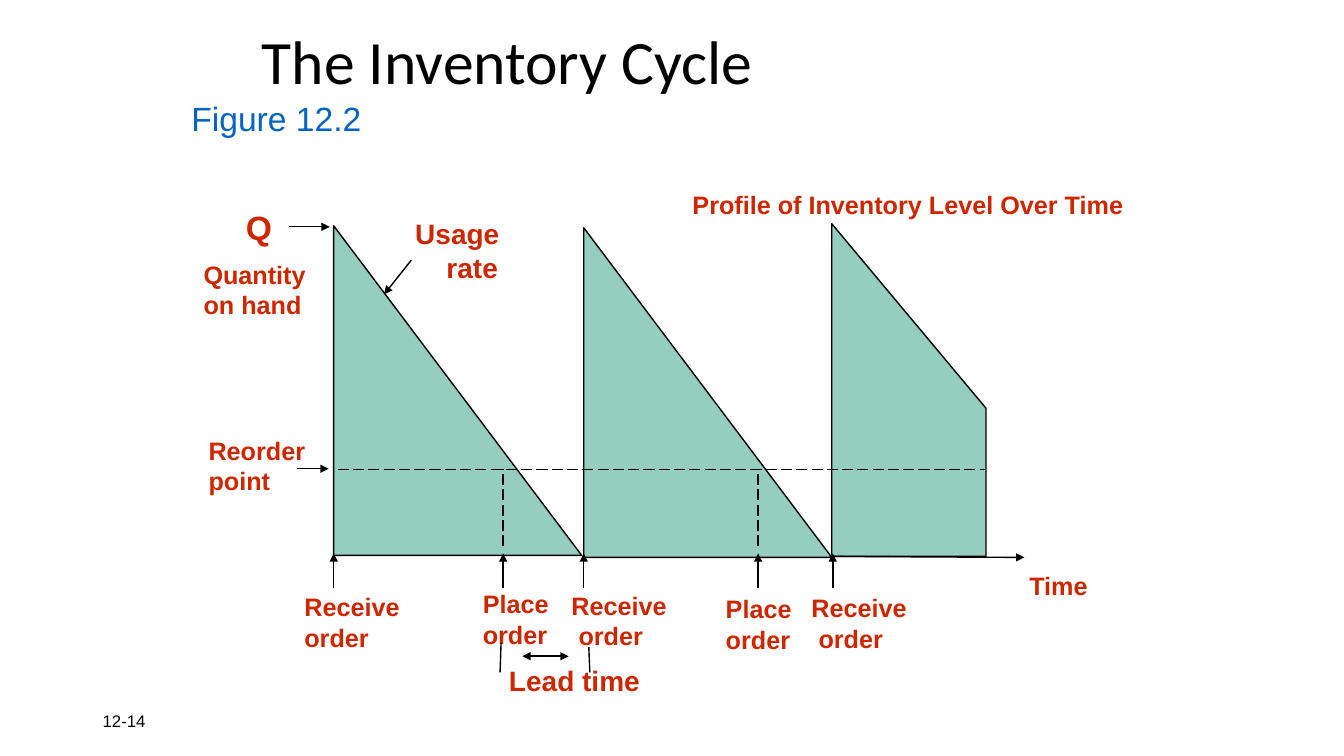
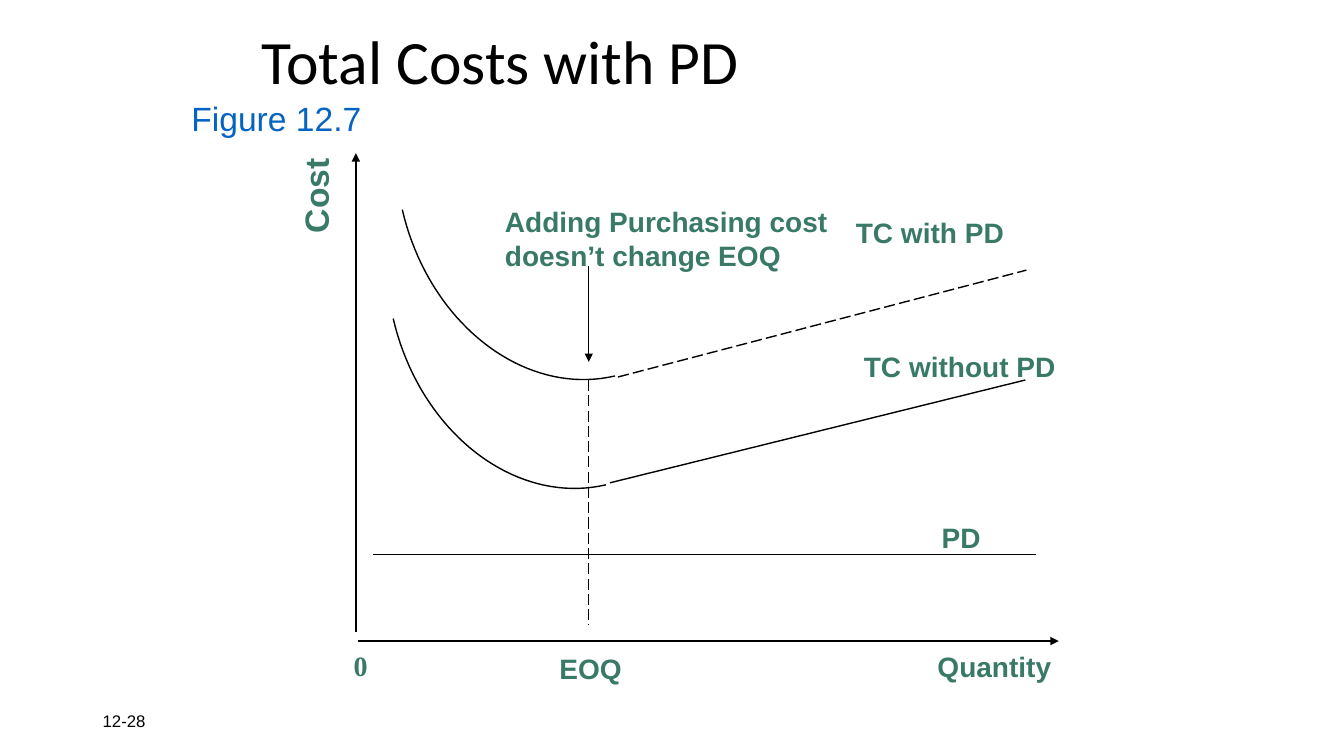
from lxml import etree
from pptx import Presentation
from pptx.dml.color import RGBColor
from pptx.enum.dml import MSO_LINE
from pptx.enum.shapes import MSO_CONNECTOR, MSO_SHAPE
from pptx.enum.text import MSO_ANCHOR
from pptx.oxml.ns import qn
from pptx.util import Inches, Pt

BLACK = RGBColor(0x00, 0x00, 0x00)
BLUE = RGBColor(0x05, 0x63, 0xC1)
RED = RGBColor(0xCE, 0x27, 0x00)
GREEN = RGBColor(0x39, 0x79, 0x68)
MINT = RGBColor(0x95, 0xCD, 0xBE)

STRAIGHT = MSO_CONNECTOR.STRAIGHT
LONG_DASH = MSO_LINE.LONG_DASH
RIGHT_TRIANGLE = MSO_SHAPE.RIGHT_TRIANGLE
MIDDLE, BOTTOM = MSO_ANCHOR.MIDDLE, MSO_ANCHOR.BOTTOM


def add_text(slide, text, left, top, width, height, size, color,
             bold=True, font="Arial", indent=0):
    """Add a text box; indent, in inches, moves the last line to the right."""
    box = slide.shapes.add_textbox(
        Inches(left), Inches(top), Inches(width), Inches(height))
    frame = box.text_frame
    frame.word_wrap = True
    frame.text = text
    if indent:
        last_line = frame.paragraphs[-1]._p.get_or_add_pPr()
        last_line.set("marL", str(Inches(indent)))
    for paragraph in frame.paragraphs:
        paragraph.font.size = Pt(size)
        paragraph.font.name = font
        paragraph.font.bold = bold
        paragraph.font.color.rgb = color
    return box


def add_line(slide, x1, y1, x2, y2, dash=None, arrows=()):
    """Add a thin black line; arrows holds "headEnd" (start), "tailEnd" (end)."""
    connector = slide.shapes.add_connector(
        STRAIGHT, Inches(x1), Inches(y1), Inches(x2), Inches(y2))
    connector.line.color.rgb = BLACK
    connector.line.width = Pt(1)
    if dash:
        connector.line.dash_style = dash
    properties = connector._element.spPr
    outline = properties.find(qn("a:ln"))
    for end in arrows:
        etree.SubElement(outline, qn(f"a:{end}"), type="triangle")
    etree.SubElement(properties, qn("a:effectLst"))


prs = Presentation()
prs.slide_width, prs.slide_height = Inches(13.33), Inches(7.5)

# Title, figure number and page number shared by the slides
slides = []
for title, figure, page in (
    ("The Inventory Cycle", "Figure 12.2", "12-14"),
    ("Total Costs with PD", "Figure 12.7", "12-28"),
):
    slide = prs.slides.add_slide(prs.slide_layouts[6])
    heading = add_text(slide, title, 2.5, 0.15, 8.5, 0.87, 44, BLACK, False, "Calibri")
    heading.text_frame.vertical_anchor = BOTTOM
    heading.text_frame.paragraphs[0].line_spacing = 0.9
    add_text(slide, figure, 1.8, 0.92, 2.17, 0.5, 24, BLUE, False)
    number = add_text(slide, page, 0.92, 6.95, 3, 0.4, 12, BLACK, False)
    number.text_frame.vertical_anchor = MIDDLE
    slides.append(slide)
cycle, costs = slides

# Inventory cycle: two full cycles and the start of a third
stock_levels = [
    cycle.shapes.add_shape(
        RIGHT_TRIANGLE, Inches(left), Inches(top), Inches(2.46), Inches(3.27))
    for left, top in ((3.31, 2.24), (5.79, 2.26))
]
third_cycle = cycle.shapes.build_freeform(Inches(8.25), Inches(2.22), scale=1.0)
third_cycle.add_line_segments(
    [(Inches(x), Inches(y)) for x, y in ((9.78, 4.05), (9.78, 5.52), (8.25, 5.52))])
stock_levels.append(third_cycle.convert_to_shape())
for stock in stock_levels:
    stock.shadow.inherit = False
    stock.fill.solid()
    stock.fill.fore_color.rgb = MINT
    stock.line.color.rgb = BLACK
    stock.line.width = Pt(1)

for text, left, top, width, height, size, indent in (
    ("Profile of Inventory Level Over Time", 6.77, 1.83, 4.6, 0.4, 18, 0),
    ("Q", 2.34, 2, 0.5, 0.5, 24, 0),
    ("Quantity\non hand", 1.92, 2.52, 1.32, 0.7, 18, 0),
    ("Usage\nrate", 4.02, 2.1, 1.36, 0.76, 20, 0.31),
    ("Reorder\npoint", 1.97, 4.27, 1.38, 0.7, 18, 0),
    ("Receive\norder", 2.92, 5.82, 1.22, 0.7, 18, 0),
    ("Place\norder", 4.69, 5.79, 0.9, 0.7, 18, 0),
    ("Receive\norder", 5.57, 5.81, 1.2, 0.7, 18, 0.07),
    ("Place\norder", 7.1, 5.84, 0.9, 0.7, 18, 0),
    ("Receive\norder", 7.95, 5.83, 1.2, 0.7, 18, 0.07),
    ("Lead time", 4.95, 6.53, 1.6, 0.43, 20, 0),
    ("Time", 10.11, 5.61, 0.85, 0.4, 18, 0),
):
    add_text(cycle, text, left, top, width, height, size, RED, indent=indent)

for order_x in (3.31, 4.99, 5.79, 7.52, 8.26):
    add_line(cycle, order_x, 5.83, order_x, 5.49, arrows=["tailEnd"])
for pointer in (
    (2.87, 2.25, 3.27, 2.25),
    (4.08, 2.58, 3.81, 2.92),
    (2.95, 4.65, 3.26, 4.65),
    (8.26, 5.52, 10.16, 5.53),
):
    add_line(cycle, *pointer, arrows=["tailEnd"])

add_line(cycle, 3.35, 4.66, 9.77, 4.66, LONG_DASH)
for place_x in (4.99, 7.52):
    add_line(cycle, place_x, 5.42, place_x, 4.65, LONG_DASH)
add_line(cycle, 4.97, 6.38, 4.96, 6.67)
add_line(cycle, 5.84, 6.42, 5.85, 6.67)
add_line(cycle, 5.18, 6.51, 5.64, 6.51, arrows=["headEnd", "tailEnd"])

# Total costs: both curves have the same Bezier shape
CURVE = ((0, 0), (0.26, 1.12), (1.2, 1.86), (2.11, 1.65))
STEPS = 40
bezier = []
for step in range(STEPS + 1):
    t = step / STEPS
    weights = ((1 - t) ** 3, 3 * t * (1 - t) ** 2, 3 * t * t * (1 - t), t ** 3)
    bezier.append([sum(w * point[axis] for w, point in zip(weights, CURVE))
                   for axis in (0, 1)])
for left, top in ((3.99, 2.08), (3.9, 3.16)):
    points = [(Inches(left + x), Inches(top + y)) for x, y in bezier]
    outline = costs.shapes.build_freeform(*points[0], scale=1.0)
    outline.add_line_segments(points[1:], close=False)
    cost_curve = outline.convert_to_shape()
    cost_curve.shadow.inherit = False
    cost_curve.fill.background()
    cost_curve.line.color.rgb = BLACK
    cost_curve.line.width = Pt(1)

EOQ_X = 5.84
add_line(costs, 6.13, 3.74, 10.18, 2.68, LONG_DASH)
add_line(costs, 6.05, 4.79, 10.17, 3.77)
add_line(costs, 3.7, 5.5, 10.28, 5.5)
add_line(costs, EOQ_X, 3.77, EOQ_X, 6.2, LONG_DASH)
add_line(costs, EOQ_X, 2.64, EOQ_X, 3.59, arrows=["tailEnd"])
add_line(costs, 3.53, 6.27, 3.53, 1.52, arrows=["tailEnd"])
add_line(costs, 3.55, 6.36, 10.5, 6.36, arrows=["tailEnd"])

cost_axis = add_text(costs, "Cost", 2.55, 1.58, 1.16, 0.5, 24, GREEN)
cost_axis.rotation = 270
add_text(costs, "0", 3.41, 6.38, 0.48, 0.43, 20, GREEN, font="Times New Roman")
for text, left, top, width, height in (
    ("Adding Purchasing cost\vdoesn’t change EOQ", 4.91, 1.98, 3.5, 0.77),
    ("TC with PD", 8.39, 2.09, 2.16, 0.43),
    ("TC without PD", 8.47, 3.42, 2.2, 0.43),
    ("PD", 9.24, 5.11, 0.65, 0.43),
    ("EOQ", 5.45, 6.41, 0.91, 0.43),
    ("Quantity", 9.2, 6.39, 1.4, 0.43),
):
    add_text(costs, text, left, top, width, height, 20, GREEN)

prs.save("out.pptx")
